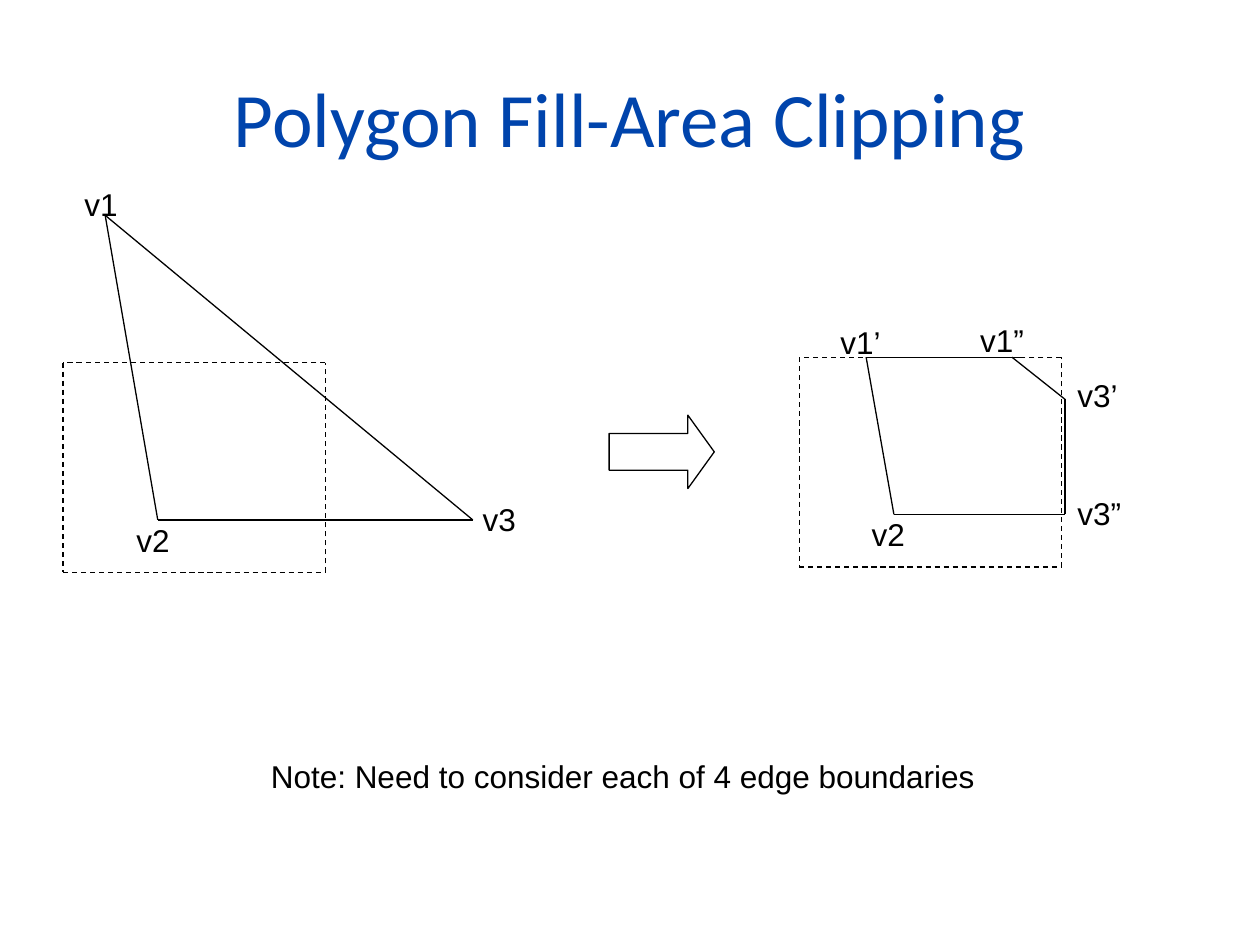
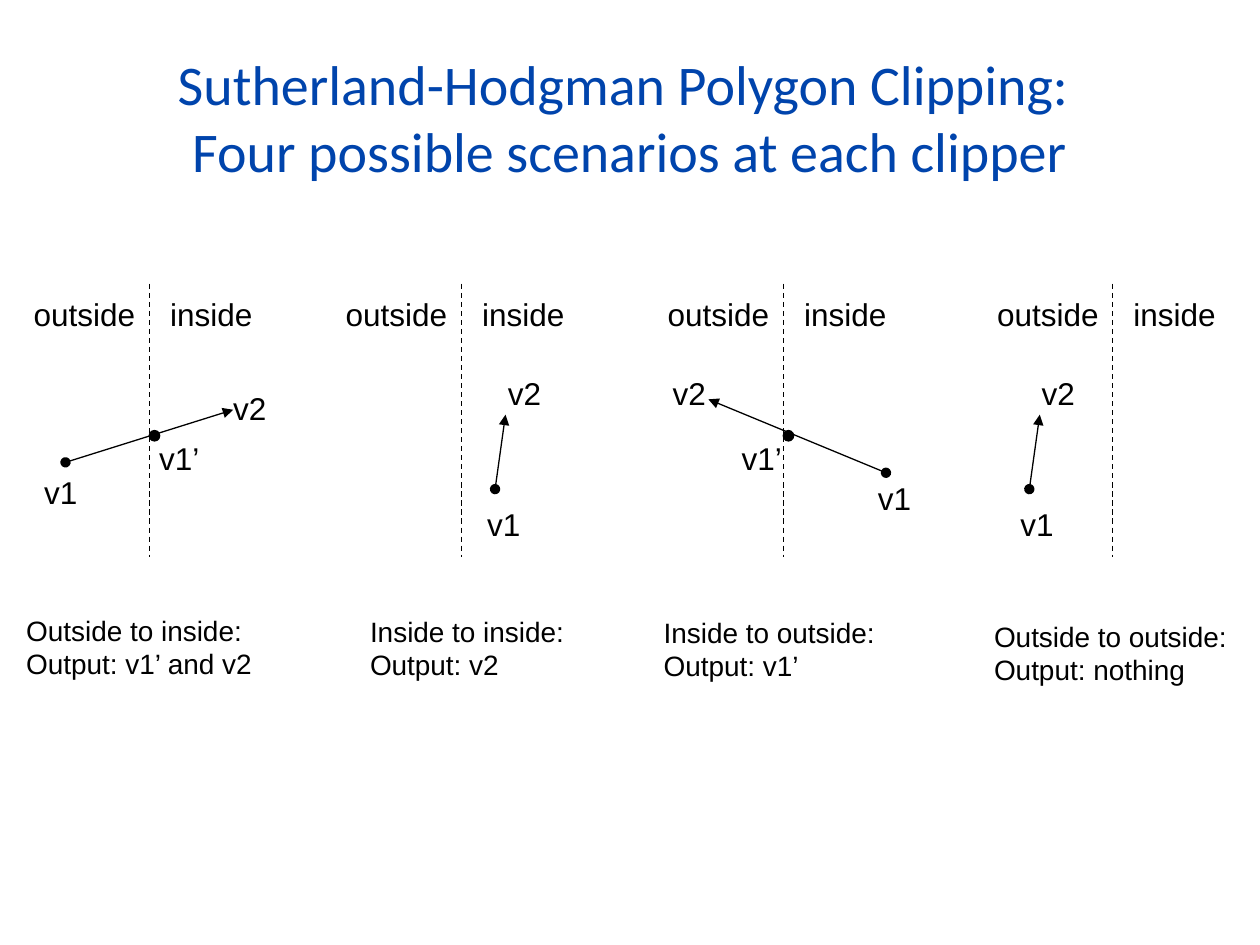
import pptx
import pptx.util
import pptx.dml.color
import pptx.enum.dml
import pptx.enum.shapes
import pptx.enum.text
import pptx.oxml.ns
from lxml import etree

Cm, Pt = pptx.util.Cm, pptx.util.Pt
RGB = pptx.dml.color.RGBColor
qn = pptx.oxml.ns.qn
COLORS = {"title": "0044AC", "ink": "000000"}
LABEL_HEIGHT = 1.02
LABEL_WIDTHS = {"’": 1.4, "”": 1.48}
PLAIN_LABEL_WIDTH = 1.22


def add_text(page, text, left, top, width, height=LABEL_HEIGHT,
             size=18, font="Arial", color="ink"):
    box = page.shapes.add_textbox(Cm(left), Cm(top), Cm(width), Cm(height))
    box.text_frame.word_wrap = True
    box.text_frame.text = text
    for para in box.text_frame.paragraphs:
        for span in para.runs:
            span.font.size = Pt(size)
            span.font.name = font
            span.font.color.rgb = RGB.from_string(COLORS[color])
    return box


def add_line(page, start, end, dashed=False, arrow=False):
    line = page.shapes.add_connector(
        pptx.enum.shapes.MSO_CONNECTOR.STRAIGHT,
        Cm(start[0]), Cm(start[1]), Cm(end[0]), Cm(end[1]))
    line.line.color.rgb = RGB.from_string(COLORS["ink"])
    line.line.width = Pt(0.75)
    if dashed:
        line.line.dash_style = pptx.enum.dml.MSO_LINE.DASH
    properties = line.element.spPr
    if arrow:
        outline = properties.find(qn("a:ln"))
        etree.SubElement(outline, qn("a:headEnd"), type="oval")
        etree.SubElement(outline, qn("a:tailEnd"), type="triangle")
    etree.SubElement(properties, qn("a:effectLst"))


deck = pptx.Presentation()
deck.slide_width, deck.slide_height = Cm(25.4), Cm(19.05)

# Pages with their titles
pages = []
for title, size in (
    ("Polygon Fill-Area Clipping", 44),
    ("Sutherland-Hodgman Polygon Clipping: \vFour possible scenarios at each clipper", 32),
):
    page = deck.slides.add_slide(deck.slide_layouts[6])
    box = add_text(page, title, 1.27, 0.76, 22.86, 3.18, size, "Calibri", "title")
    box.text_frame.vertical_anchor = pptx.enum.text.MSO_ANCHOR.MIDDLE
    box.text_frame.paragraphs[0].alignment = pptx.enum.text.PP_ALIGN.CENTER
    pages.append(page)
clipping, scenarios = pages

# Clip windows before and after
for left, top in ((1.27, 7.31), (16.11, 7.2)):
    right, bottom = left + 5.29, top + 4.23
    corners = [(left, top), (left, bottom), (right, bottom), (right, top)]
    for start, end in zip(corners, corners[1:] + corners[:1]):
        add_line(clipping, start, end, dashed=True)

# Triangle, clipped polygon and its top edge
triangle = [(2.12, 4.34), (3.18, 10.48), (9.53, 10.48), (2.12, 4.34)]
clipped = [(17.46, 7.2), (18.02, 10.37), (21.47, 10.37), (21.47, 8.05), (20.4, 7.2)]
top_edge = [(17.46, 7.2), (20.62, 7.2)]
for outline in (triangle, clipped, top_edge):
    for start, end in zip(outline, outline[1:]):
        add_line(clipping, start, end)

# Vertex labels
for label, left, top in (
    ("v1", 1.45, 3.61), ("v2", 2.5, 10.37), ("v3", 9.48, 9.96),
    ("v1’", 16.69, 6.39), ("v1”", 19.51, 6.35), ("v2", 17.32, 10.26),
    ("v3’", 21.47, 7.45), ("v3”", 21.47, 9.83),
):
    add_text(clipping, label, left, top, LABEL_WIDTHS.get(label[-1], PLAIN_LABEL_WIDTH))

# Arrow between the two figures, and the note
arrow = clipping.shapes.add_shape(
    pptx.enum.shapes.MSO_SHAPE.RIGHT_ARROW, Cm(12.28), Cm(8.37), Cm(2.12), Cm(1.48))
arrow.adjustments[0], arrow.adjustments[1] = 0.5, 0.36
arrow.shadow.inherit = False
arrow.fill.background()
arrow.line.color.rgb = RGB.from_string(COLORS["ink"])
arrow.line.width = Pt(0.75)
add_text(clipping, "Note: Need to consider each of 4 edge boundaries", 5.21, 15.14, 14.9)

# Scenarios: divider, edge start, edge end, labels, caption, caption place
for divider, start, end, labels, caption, place in (
    (3.01, (1.32, 9.32), (4.7, 8.26),
     (("v1", 0.64, 9.42), ("v1’", 2.96, 8.72), ("v2", 4.45, 7.72)),
     "Outside to inside:\nOutput: v1’ and v2", (0.28, 12.24, 5.2)),
    (9.3, (9.98, 9.86), (10.19, 8.36),
     (("v1", 9.57, 10.06), ("v2", 9.99, 7.42)),
     "Inside to inside:\nOutput: v2", (7.21, 12.26, 4.6)),
    (15.79, (17.86, 9.53), (14.28, 8.05),
     (("v1", 17.45, 9.53), ("v1’", 14.7, 8.72), ("v2", 13.31, 7.42)),
     "Inside to outside:\nOutput: v1’", (13.13, 12.28, 4.9)),
    (22.43, (20.75, 9.86), (20.96, 8.36),
     (("v1", 20.32, 10.06), ("v2", 20.75, 7.42)),
     "Outside to outside:\nOutput: nothing", (19.79, 12.36, 5.35)),
):
    add_line(scenarios, (divider, 5.72), (divider, 11.23), dashed=True)

    # Side names, with a tab stop past the divider
    sides = add_text(scenarios, "outside\tinside", divider - 2.58, 5.82, 4.95)
    para_properties = sides.text_frame.paragraphs[0]._p.get_or_add_pPr()
    tabs = etree.SubElement(para_properties, qn("a:tabLst"))
    etree.SubElement(tabs, qn("a:tab"), pos=str(Cm(2.75)), algn="l")

    add_line(scenarios, start, end, arrow=True)
    for label, left, top in labels:
        add_text(scenarios, label, left, top, LABEL_WIDTHS.get(label[-1], PLAIN_LABEL_WIDTH))

        # Crossing point on the divider
        if label == "v1’":
            dot = scenarios.shapes.add_shape(
                pptx.enum.shapes.MSO_SHAPE.OVAL, Cm(divider), Cm(8.68), Cm(0.21), Cm(0.21))
            dot.shadow.inherit = False
            dot.fill.solid()
            dot.fill.fore_color.rgb = RGB.from_string(COLORS["ink"])
            dot.line.color.rgb = RGB.from_string(COLORS["ink"])
            dot.line.width = Pt(0.75)
    add_text(scenarios, caption, *place, height=1.63, size=16)

deck.save("out.pptx")
